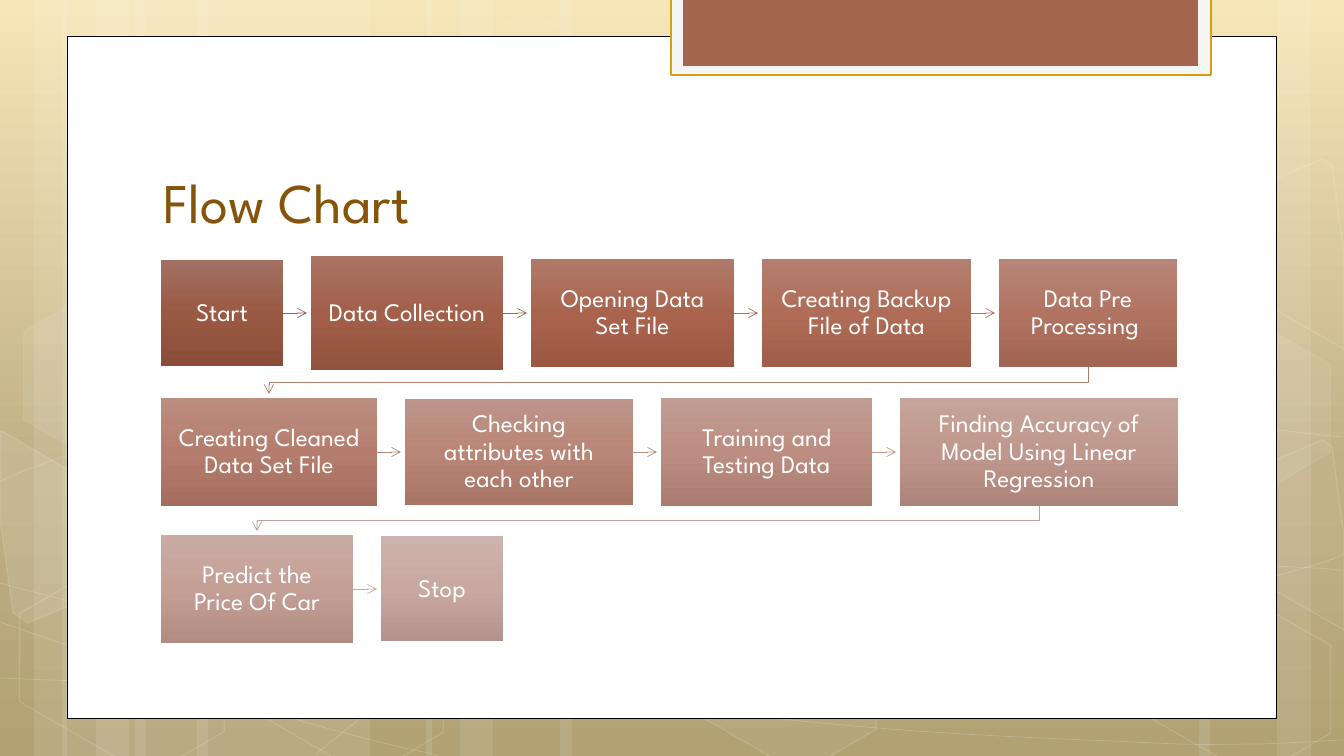
from copy import deepcopy

from lxml.etree import SubElement
from pptx import Presentation
from pptx.dml.color import RGBColor
from pptx.enum.shapes import MSO_CONNECTOR, MSO_SHAPE
from pptx.enum.text import MSO_ANCHOR, MSO_AUTO_SIZE, PP_ALIGN
from pptx.oxml.ns import qn
from pptx.util import Pt

PX = 914400 / 100.8
WIDTH, HEIGHT = 1344, 756
FONT = "League Spartan"
WHITE = RGBColor(0xFF, 0xFF, 0xFF)
BLACK = RGBColor(0, 0, 0)
BROWN = RGBColor(0x85, 0x54, 0x0A)
GOLD = RGBColor(0xD2, 0xA0, 0x10)
PALE = RGBColor(0xF5, 0xF5, 0xF5)
RUST = RGBColor(0xA5, 0x64, 0x4E)

TITLE = "Flow Chart"
LEFT, GAP, ARROW_SHORT, INSET = 161, 28, 4, 15

# Rows: centre y, then steps: text, width, height, gradient, outgoing arrow
ROWS = [
    (313, [
        ("Start", 122, 106, "A27062 9A5943 8C4D38", "9E604B"),
        ("Data Collection", 192, 114, "AA7465 A25F49 93523D", "A66651"),
        ("Opening Data Set File", 203, 108, "B17969 AA644E 9B5742", "AC6C59"),
        ("Creating Backup File of Data", 209, 108, "B47F71 AF6C57 A05D49", "AF7563"),
        ("Data Pre Processing ", 178, 108, "B78679 B27462 A26553", "B27E6E"),
    ]),
    (452, [
        ("Creating Cleaned Data Set File", 216, 108, "BB8E81 B57D6D A56D5D", "B68679"),
        ("Checking attributes with each other", 228, 106, "BE958A B98577 A87567", "BA8F83"),
        ("Training and Testing Data", 211, 108, "C29C93 BC8E82 AA7C70", "BE978D"),
        ("Finding Accuracy of Model Using Linear Regression", 278, 108,
         "C5A49B C0978C AD847A", "C2A097"),
    ]),
    (589, [
        ("Predict the Price Of Car", 192, 108, "C9ABA4 C49F96 B18C83", "C6A8A1"),
        ("Stop", 122, 105, "CDB3AD C8A8A0 B4938C", None),
    ]),
]

# Left and width of each full-height band
BANDS = [(135, 235), (0, 67), (34, 112), (197, 235), (62, 67), (96, 112),
         (975, 235), (1277, 67), (1199, 112), (560, 415), (426, 67), (460, 112)]
# Left, top, fill opacity, line opacity
HEXAGONS = [(437, 36, 4, 8), (656, 594, 6, 12), (4, 596, 0, 12), (8, 314, 7, 8),
            (223, 597, 0, 12), (1110, 598, 0, 12), (1110, 317, 7, 8)]
LEFT_EDGE = [(0, 518), (0, 432), (2, 431), (105, 491), (117, 586), (28, 623), (13, 613)]
RIGHT_EDGE = [(1234, 478), (1322, 440), (1332, 447), (1344, 535), (1344, 630), (1246, 574)]
EDGE_RISE = 281
# Bezier control points, three per segment after the start
CURVES = [
    [(0, 678), (72, 681), (144, 684), (245, 683), (346, 682), (470, 680), (604, 670),
     (739, 660), (929, 641), (1053, 622), (1176, 603), (1302, 572), (1343, 555)],
    [(0, 481), (37, 465), (76, 450), (152, 434), (228, 419), (337, 397), (456, 390),
     (576, 383), (720, 382), (868, 390), (1016, 398), (1262, 429), (1343, 437)],
    [(0, 622), (159, 677), (322, 733), (438, 755)],
    [(0, 583), (40, 594), (83, 605), (161, 621), (239, 636), (356, 661), (468, 678),
     (581, 696), (722, 714), (833, 724), (945, 735), (1063, 739), (1135, 742),
     (1206, 746), (1224, 744), (1259, 744), (1293, 743), (1318, 741), (1343, 740)],
    [(315, 755), (339, 735), (362, 715), (395, 697), (427, 678), (473, 658), (510, 644),
     (547, 630), (571, 624), (620, 614), (669, 604), (760, 590), (806, 583),
     (854, 576), (861, 576), (903, 574), (945, 571), (1010, 568), (1056, 566),
     (1103, 565), (1180, 566), (1180, 566), (1210, 566), (1240, 566), (1269, 566),
     (1294, 567), (1316, 568), (1329, 569), (1340, 570), (1336, 570), (1341, 571)],
]


def px(n):
    return round(n * PX)


def paint(fill, color, opacity=100):
    if color is None or opacity == 0:
        fill.background()
        return
    fill.solid()
    fill.fore_color.rgb = color
    if opacity < 100:
        clr = fill._xPr.find(qn("a:solidFill"))[0]
        SubElement(clr, qn("a:alpha"), val=str(opacity * 1000))


def paint_gradient(fill, colors, middle):
    """Fill from top to bottom with three colours, the second at middle."""
    fill.gradient()
    fill.gradient_angle = 270
    first = fill.gradient_stops[0]._gs
    first.addnext(deepcopy(first))
    for stop, color, position in zip(fill.gradient_stops, colors.split(), (0, middle, 1)):
        stop.color.rgb = RGBColor.from_string(color)
        stop.position = position


def style(sp, color=None, opacity=100, line=None, weight=1, line_opacity=100):
    sp.shadow.inherit = False
    paint(sp.fill, color, opacity)
    paint(sp.line.fill, line, line_opacity)
    if line is not None:
        sp.line.width = Pt(weight)


def add_box(shapes, kind, left, top, width, height):
    return shapes.add_shape(kind, px(left), px(top), px(width), px(height))


def add_outline(shapes, points, close):
    (x, y), *rest = [(px(x), px(y)) for x, y in points]
    builder = shapes.build_freeform(x, y)
    builder.add_line_segments(rest, close=close)
    return builder.convert_to_shape()


def add_curve(shapes, controls):
    """Draw a chain of cubic Beziers by merging each three line segments into one."""
    sp = add_outline(shapes, controls, False)
    segments = list(sp._element.iter(qn("a:lnTo")))
    outline = segments[0].getparent()
    for i in range(0, len(segments), 3):
        curve = SubElement(outline, qn("a:cubicBezTo"))
        for segment in segments[i:i + 3]:
            curve.append(segment[0])
            outline.remove(segment)
    return sp


def add_backdrop(slide):
    shapes = slide.shapes
    paint_gradient(slide.background.fill, "F6E4B0 BAA878 A99764", 0.62)
    for left, width in BANDS:
        style(add_box(shapes, MSO_SHAPE.RECTANGLE, left, 0, width, HEIGHT), WHITE, 10)
    for controls in CURVES:
        style(add_curve(shapes, controls), line=WHITE, weight=0.5, line_opacity=20)
    for left, top, opacity, line_opacity in HEXAGONS:
        sp = add_box(shapes, MSO_SHAPE.HEXAGON, left, top, 236, 153)
        sp.adjustments[0] = 0.285
        sp.rotation = 30
        style(sp, WHITE, opacity, WHITE, 1, line_opacity)
    upper_edge = [(x, y - EDGE_RISE) for x, y in RIGHT_EDGE]
    for points, opacity in ((LEFT_EDGE, 10), (RIGHT_EDGE, 4), (upper_edge, 0)):
        style(add_outline(shapes, points, True), WHITE, opacity, WHITE, 1, 12)
    for area, color, line, weight in (((67, 36, 1209, 682), WHITE, BLACK, 0.5),
                                      ((671, -2, 540, 77), PALE, GOLD, 1),
                                      ((683, -2, 515, 68), RUST, None, 0)):
        style(add_box(shapes, MSO_SHAPE.RECTANGLE, *area), color, line=line, weight=weight)


def write(tf, text, size, color, align, anchor):
    tf.word_wrap = True
    tf.auto_size = MSO_AUTO_SIZE.NONE
    tf.vertical_anchor = anchor
    p = tf.paragraphs[0]
    p.alignment = align
    p.line_spacing = 0.9
    r = p.add_run()
    r.text = text
    r.font.size, r.font.name, r.font.color.rgb = Pt(size), FONT, color


def add_step(shapes, text, left, center, width, height, colors):
    sp = add_box(shapes, MSO_SHAPE.RECTANGLE, left, center - height / 2, width, height)
    style(sp)
    paint_gradient(sp.fill, colors, 0.5)
    tf = sp.text_frame
    tf.margin_left = tf.margin_right = tf.margin_top = tf.margin_bottom = px(INSET)
    write(tf, text, 18, WHITE, PP_ALIGN.CENTER, MSO_ANCHOR.MIDDLE)
    return sp


def add_arrowhead(line):
    SubElement(line._get_or_add_ln(), qn("a:tailEnd"), type="arrow")


def add_straight_arrow(shapes, box, right, y, color):
    c = shapes.add_connector(MSO_CONNECTOR.STRAIGHT, px(right), px(y),
                             px(right + GAP - ARROW_SHORT), px(y))
    c.begin_connect(box, 3)
    c.line.color.rgb = RGBColor.from_string(color)
    c.line.width = Pt(0.5)
    add_arrowhead(c.line)
    SubElement(c._element.spPr, qn("a:effectLst"))


def add_row_arrow(shapes, start, end, color):
    """Run down, left along the gap between rows, and down to the next row."""
    (x1, y1), (x2, y2) = start, end
    turn = (y1 + y2) / 2 + 2
    sp = add_outline(shapes, [start, (x1, turn), (x2, turn), end], False)
    style(sp, line=RGBColor.from_string(color), weight=0.5)
    add_arrowhead(sp.line)


def add_flow(shapes):
    for i, (center, steps) in enumerate(ROWS):
        left = LEFT
        for j, (text, width, height, colors, arrow) in enumerate(steps):
            box = add_step(shapes, text, left, center, width, height, colors)
            if j < len(steps) - 1:
                add_straight_arrow(shapes, box, left + width, center, arrow)
            elif i < len(ROWS) - 1:
                next_center, next_steps = ROWS[i + 1]
                _, next_width, next_height, _, _ = next_steps[0]
                add_row_arrow(shapes, (left + width / 2, center + height / 2),
                              (LEFT + next_width / 2,
                               next_center - next_height / 2 - ARROW_SHORT), arrow)
            left += width + GAP


def main():
    prs = Presentation()
    prs.slide_width, prs.slide_height = px(WIDTH), px(HEIGHT)
    slide = prs.slides.add_slide(prs.slide_layouts[5])
    add_backdrop(slide)
    title = slide.shapes.title
    title.left, title.top, title.width, title.height = map(px, (153, 115, 1032, 126))
    write(title.text_frame, TITLE, 40, BROWN, PP_ALIGN.LEFT, MSO_ANCHOR.BOTTOM)
    slide.shapes._spTree.append(title._element)  # bring the title above the page
    add_flow(slide.shapes)
    prs.save("out.pptx")


if __name__ == "__main__":
    main()
